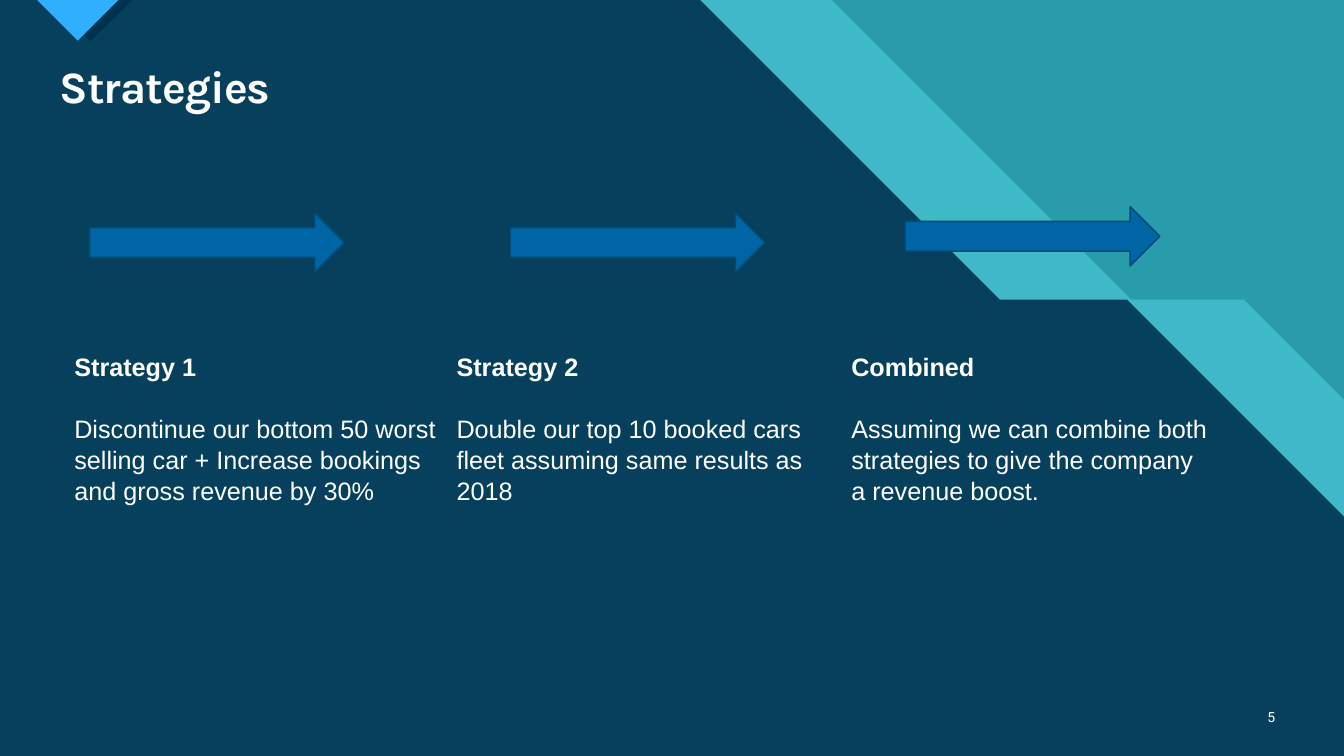
"""Build the Strategies slide: three arrows over three strategy descriptions."""
import pptx
import pptx.dml.color
import pptx.enum.shapes
import pptx.enum.text
import pptx.oxml
import pptx.oxml.ns
import pptx.util

Pt = pptx.util.Pt
MSO_SHAPE = pptx.enum.shapes.MSO_SHAPE
ALIGN = pptx.enum.text.PP_ALIGN
ANCHOR = pptx.enum.text.MSO_ANCHOR


def rgb(color):
    return pptx.dml.color.RGBColor.from_string(color)


def add_text(paragraphs, box, size=18, font="Arial", bold_first=False, align=ALIGN.LEFT,
             anchor=ANCHOR.TOP, line_spacing=1.0, gap=0, tracking=None):
    tf = slide.shapes.add_textbox(*map(Pt, box)).text_frame
    tf.word_wrap = True
    tf.vertical_anchor = anchor
    for i, text in enumerate(paragraphs):
        p = tf.paragraphs[0] if i == 0 else tf.add_paragraph()
        p.alignment = align
        p.line_spacing = line_spacing
        p.space_before = Pt(gap if i else 0)
        r = p.add_run()
        r.text = text
        r.font.name = font
        r.font.size = Pt(size)
        r.font.bold = bold_first and i == 0
        r.font.color.rgb = rgb("FFFFFF")
        if tracking is not None:
            r.font._element.set("spc", str(tracking))


prs = pptx.Presentation()
prs.slide_width, prs.slide_height = Pt(960), Pt(540)
slide = prs.slides.add_slide(prs.slide_layouts[6])
slide.background.fill.solid()
slide.background.fill.fore_color.rgb = rgb("299CAB")

light_band = [(0, 0), (594, 0), (808, 214), (888.5, 214), (960, 285.5), (960, 540), (0, 540)]
dark_band = [(0, 0), (500, 0), (714, 214), (805, 214), (960, 369), (960, 540), (0, 540)]
tab_shadow = [(34.5, 0), (94.5, 0), (64.5, 29.5)]
tab = [(26.5, 0), (84.5, 0), (55.5, 29)]

for points, color, opacity in [(light_band, "47C3D3", 74), (dark_band, "003352", 90),
                               (tab_shadow, "003352", 100), (tab, "2FAFFF", 100)]:
    corners = [(Pt(x), Pt(y)) for x, y in points]
    builder = slide.shapes.build_freeform(*corners[0])
    builder.add_line_segments(corners[1:], close=True)
    sp = builder.convert_to_shape()
    sp.shadow.inherit = False
    sp.line.fill.background()
    sp.fill.solid()
    sp.fill.fore_color.rgb = rgb(color)
    if opacity < 100:
        clr = sp._element.spPr.find(".//" + pptx.oxml.ns.qn("a:srgbClr"))
        alpha = pptx.oxml.parse_xml(f'<a:alpha {pptx.oxml.ns.nsdecls("a")} val="{opacity * 1000}"/>')
        clr.append(alpha)

add_text(["Strategies"], (35.5, 42.5, 882.5, 42.5), size=32, font="Karla", bold_first=True,
         anchor=ANCHOR.MIDDLE, line_spacing=0.9, tracking=-70)
add_text(["5"], (886.5, 497.5, 31.5, 28.5), size=10, font="Roboto", align=ALIGN.RIGHT,
         anchor=ANCHOR.MIDDLE)

strategies = [
    ("Strategy 1", "Discontinue our bottom 50 worst selling car + Increase bookings and gross revenue by 30%",
     46, 64, 152),
    ("Strategy 2", "Double our top 10 booked cars fleet assuming same results as 2018", 319, 364.5, 152),
    ("Combined", "Assuming we can combine both strategies to give the company a revenue boost.",
     601, 646.5, 147.5),
]
for heading, body, text_left, arrow_left, arrow_top in strategies:
    add_text([heading, body], (text_left, 246.5, 273, 116.5), bold_first=True,
             line_spacing=1.04, gap=21.6)
    arrow = slide.shapes.add_shape(MSO_SHAPE.RIGHT_ARROW, Pt(arrow_left), Pt(arrow_top), Pt(182), Pt(42.5))
    arrow.shadow.inherit = False
    arrow.fill.solid()
    arrow.fill.fore_color.rgb = rgb("0065A4")
    arrow.line.color.rgb = rgb("004B79")
    arrow.line.width = Pt(1)

prs.save("out.pptx")
